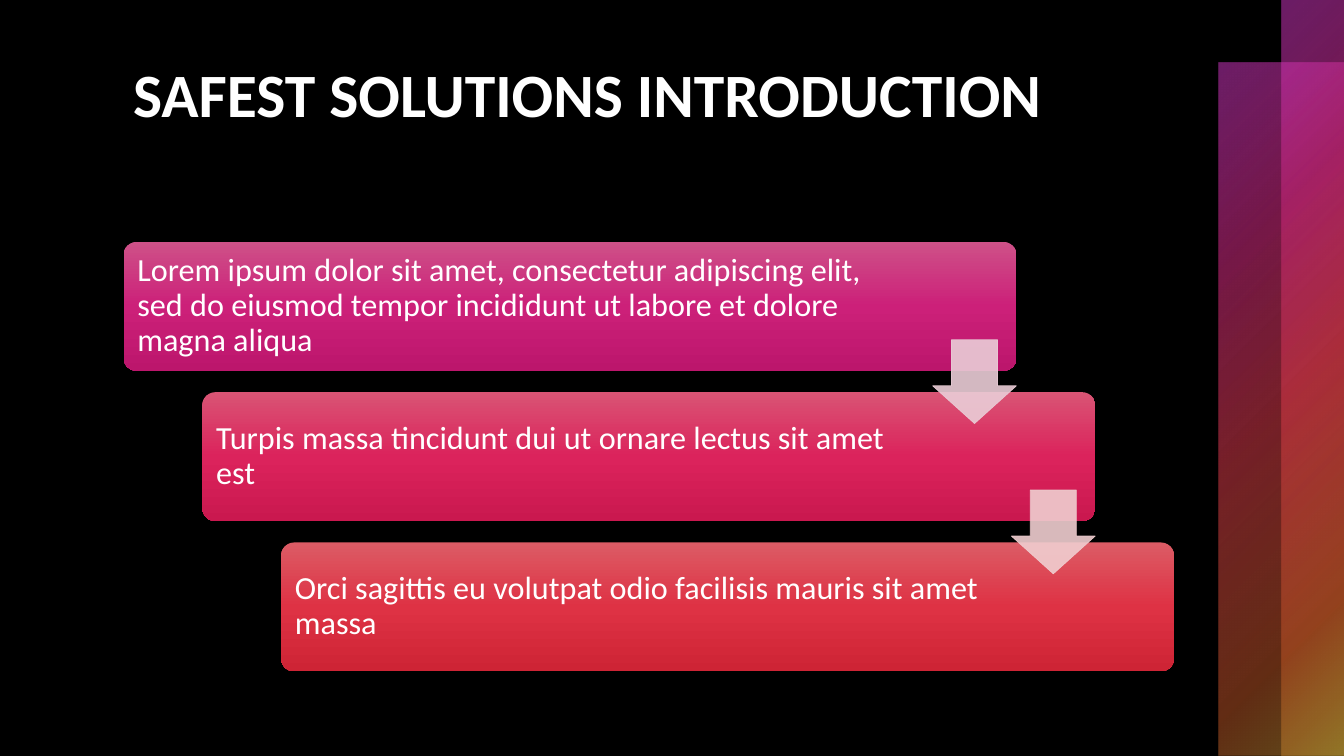
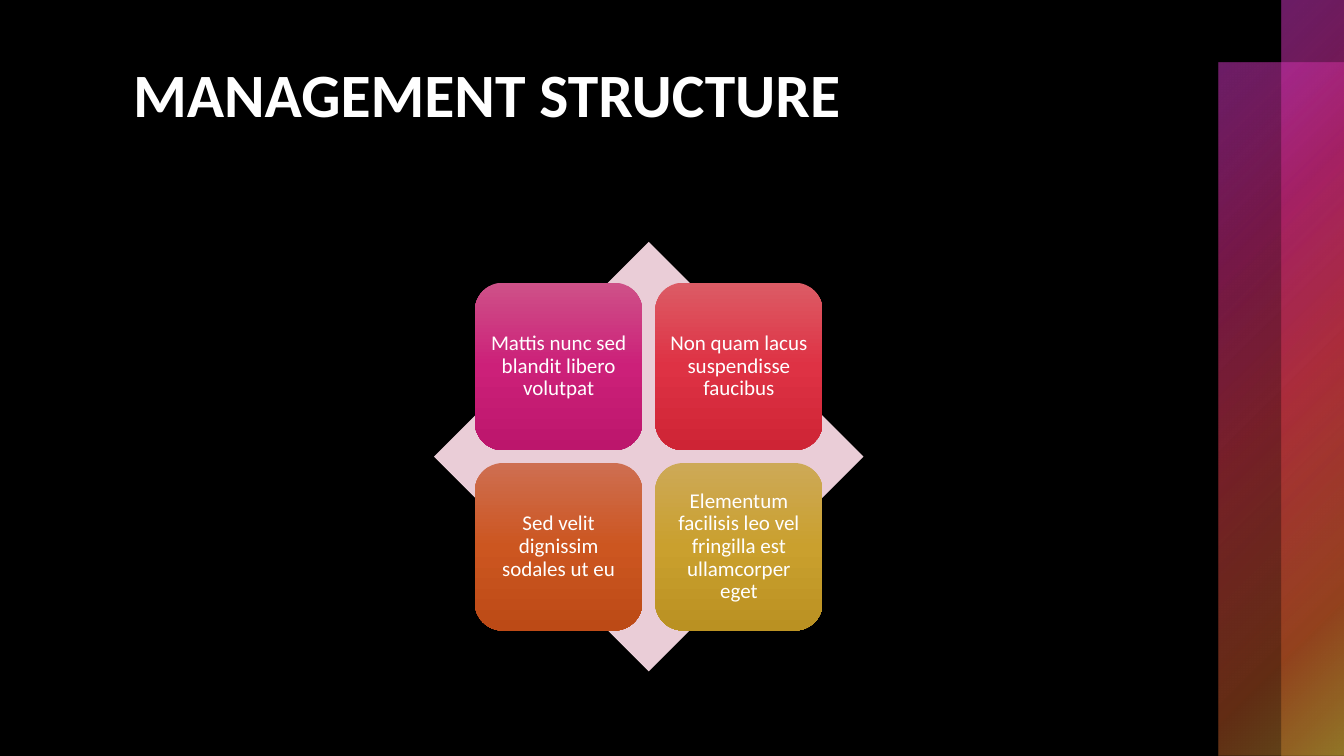
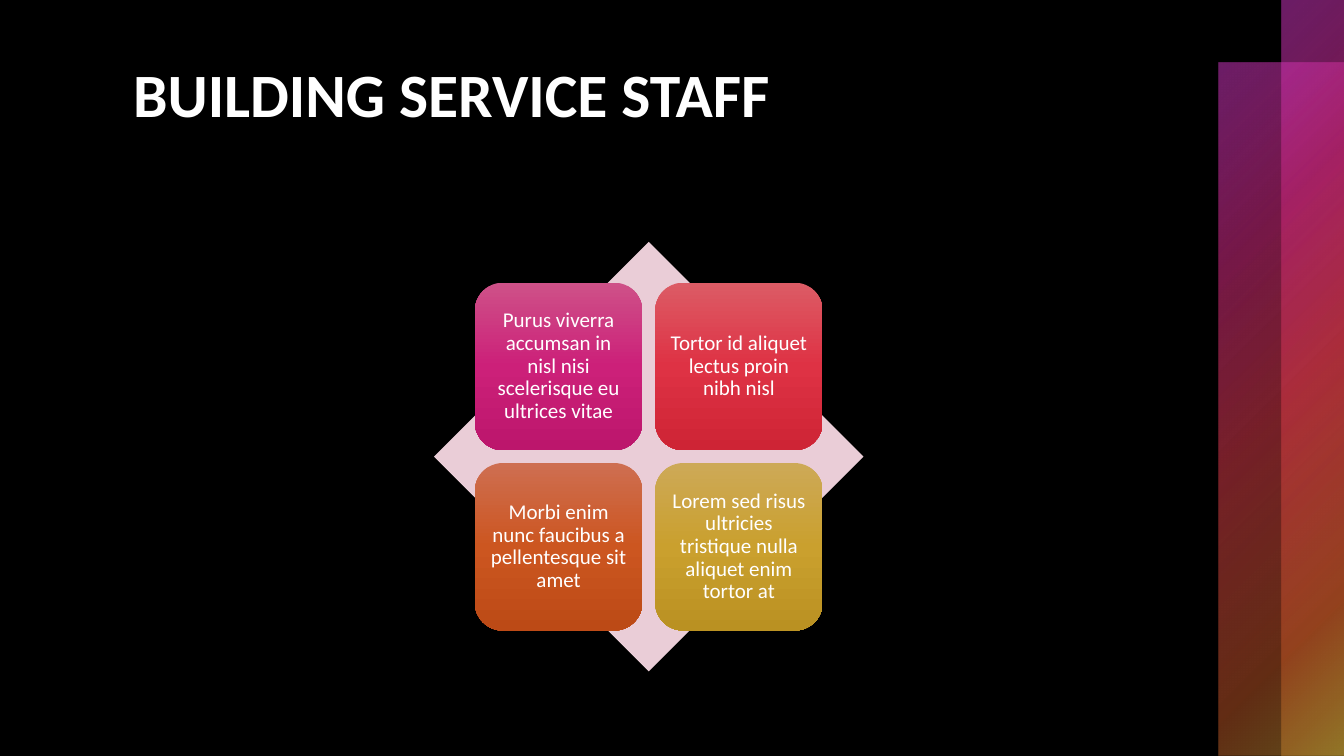
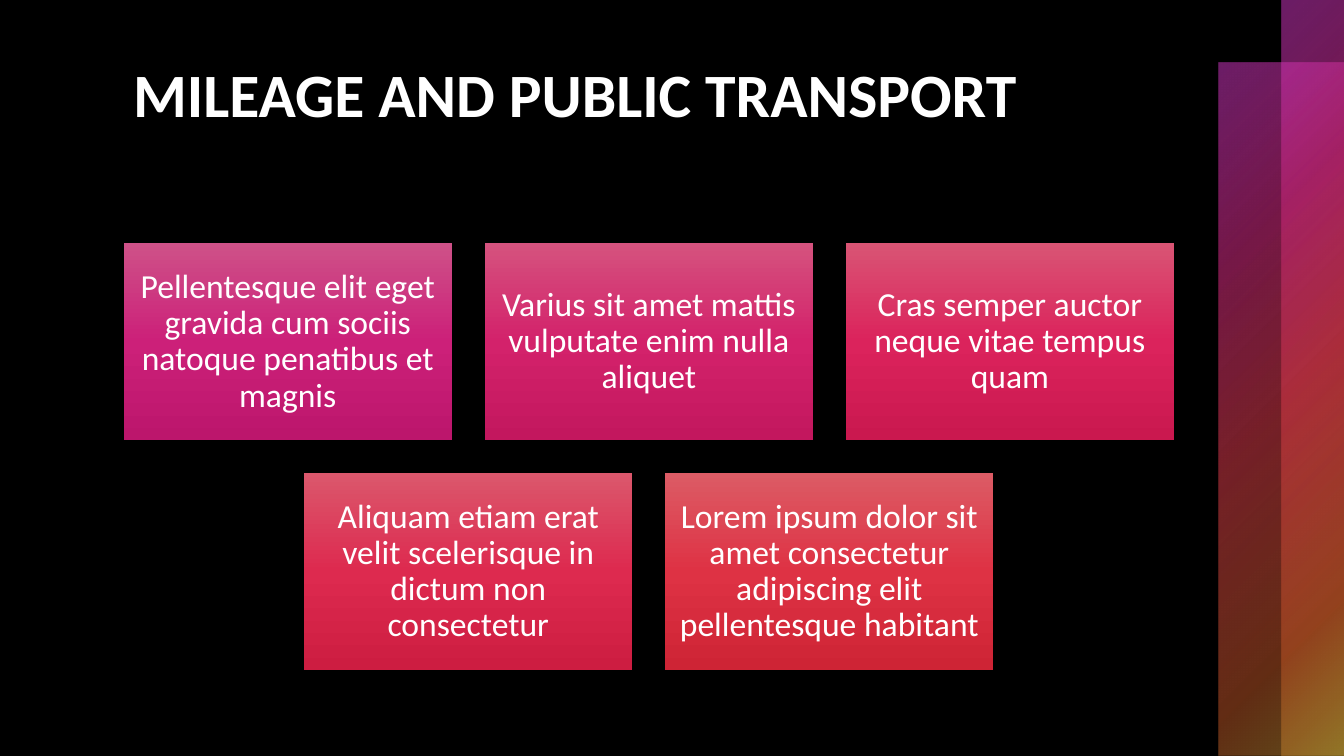
from dataclasses import dataclass

from lxml.etree import SubElement
from pptx import Presentation
from pptx.dml.color import RGBColor
from pptx.enum.shapes import MSO_SHAPE
from pptx.enum.text import MSO_ANCHOR, MSO_AUTO_SIZE, PP_ALIGN
from pptx.oxml.ns import qn
from pptx.util import Inches, Pt


@dataclass(frozen=True)
class Theme:
    font: str = "Calibri"
    background: RGBColor = RGBColor.from_string("000000")
    text: RGBColor = RGBColor.from_string("FFFFFF")
    pale_pink: RGBColor = RGBColor.from_string("EACDD7")
    pale_red: RGBColor = RGBColor.from_string("F0CED0")
    band: tuple = ((0, "D63ACC", 50), (25, "C42879", 60), (50, "D63A4A", 55),
                   (81, "C45928", 50), (99, "C39D35", 50))
    magenta: tuple = ((0, "CE5188", 100), (50, "CC2079", 100), (100, "BC166C", 100))
    rose: tuple = ((0, "D5527E", 100), (50, "D3226B", 100), (100, "C3175E", 100))
    crimson: tuple = ((0, "D95474", 100), (50, "DB235C", 100), (100, "CA184F", 100))
    scarlet: tuple = ((0, "DB576C", 100), (50, "DD2A4F", 100), (100, "CD1D41", 100))
    red: tuple = ((0, "DC5B65", 100), (50, "DE3244", 100), (100, "CE2435", 100))
    orange: tuple = ((0, "CE6E51", 100), (50, "CC5620", 100), (100, "BC4A16", 100))
    gold: tuple = ((0, "CDA957", 100), (50, "CAA02E", 100), (100, "BA9122", 100))
    title_size: Pt = Pt(44)
    step_size: Pt = Pt(23)
    tile_size: Pt = Pt(15)
    block_size: Pt = Pt(24)


def add_gradient_shape(slide, kind, box, stops, circular=False):
    shape = slide.shapes.add_shape(kind, *[int(length) for length in box])
    shape.shadow.inherit = False
    shape.line.fill.background()
    shape.fill.gradient()
    gradient = shape.element.spPr.find(qn("a:gradFill"))
    for child in list(gradient):
        gradient.remove(child)
    stop_list = SubElement(gradient, qn("a:gsLst"))
    for position, color, opacity in stops:
        stop = SubElement(stop_list, qn("a:gs"), pos=str(position * 1000))
        color_element = SubElement(stop, qn("a:srgbClr"), val=color)
        if opacity < 100:
            SubElement(color_element, qn("a:alpha"), val=str(opacity * 1000))
    if circular:
        circle = SubElement(gradient, qn("a:path"), path="circle")
        SubElement(circle, qn("a:fillToRect"), r="100000", b="100000")
    else:
        SubElement(gradient, qn("a:lin"), ang="5400000", scaled="0")
    return shape


def write_card(shape, text, size, inset, right_inset, alignment):
    frame = shape.text_frame
    frame.word_wrap = True
    frame.vertical_anchor = MSO_ANCHOR.MIDDLE
    frame.margin_left = frame.margin_top = frame.margin_bottom = Inches(inset)
    frame.margin_right = Inches(right_inset)
    paragraph = frame.paragraphs[0]
    paragraph.alignment = alignment
    paragraph.line_spacing = 0.9
    run = paragraph.add_run()
    run.text = text
    run.font.name = theme.font
    run.font.size = size
    run.font.color.rgb = theme.text


theme = Theme()
presentation = Presentation()
presentation.slide_width = Inches(40 / 3)
presentation.slide_height = Inches(7.5)
column = presentation.slide_width / 100
row = presentation.slide_height / 100
left, top = 9.2 * column, 32 * row
width, height = 78.15 * column, 56.8 * row

master_fill = presentation.slide_master.background.fill
master_fill.solid()
master_fill.fore_color.rgb = theme.background
layout = presentation.slide_layouts.get_by_name("Title Only")

slides = []
for title_text in ("SAFEST SOLUTIONS INTRODUCTION", "MANAGEMENT STRUCTURE",
                   "BUILDING SERVICE STAFF", "MILEAGE AND PUBLIC TRANSPORT"):
    slide = presentation.slides.add_slide(layout)
    slides.append(slide)
    title = slide.shapes.title
    title.left, title.top = int(9.15 * column), int(6.67 * row)
    title.width, title.height = int(77.8 * column), int(22.67 * row)
    frame = title.text_frame
    frame.word_wrap = True
    frame.auto_size = MSO_AUTO_SIZE.NONE
    frame.vertical_anchor = MSO_ANCHOR.TOP
    paragraph = frame.paragraphs[0]
    paragraph.alignment = PP_ALIGN.LEFT
    run = paragraph.add_run()
    run.text = title_text
    run.font.name = theme.font
    run.font.size = theme.title_size
    run.font.bold = True
    run.font.color.rgb = theme.text

for index, (band_width, band_top) in enumerate(((9.3, 8.27), (4.65, 0))):
    box = ((100 - band_width) * column, band_top * row,
           band_width * column, (100 - band_top) * row)
    band = add_gradient_shape(slides[0], MSO_SHAPE.RECTANGLE, box, theme.band, circular=True)
    band.element.nvSpPr.cNvPr.set("id", str(20 + index))
    layout.shapes.element.insert(2 + index, band.element)

steps = (
    ("Lorem ipsum dolor sit amet, consectetur adipiscing elit, sed do eiusmod "
     "tempor incididunt ut labore et dolore magna aliqua", theme.magenta, 1.4),
    ("Turpis massa tincidunt dui ut ornare lectus sit amet est", theme.crimson, 1.71),
    ("Orci sagittis eu volutpat odio facilisis mauris sit amet massa", theme.red, 1.71),
)
step_width, step_height = 0.85 * width, 0.3 * height
for index, (text, stops, right_inset) in enumerate(steps):
    box = (left + index * 0.075 * width, top + index * 0.35 * height, step_width, step_height)
    step = add_gradient_shape(slides[0], MSO_SHAPE.ROUNDED_RECTANGLE, box, stops)
    step.adjustments[0] = 0.1
    write_card(step, text, theme.step_size, 0.1, right_inset, PP_ALIGN.LEFT)

arrow_size = 0.65 * step_height
for index, color in enumerate((theme.pale_pink, theme.pale_red)):
    arrow = slides[0].shapes.add_shape(
        MSO_SHAPE.DOWN_ARROW,
        int(left + index * 0.075 * width + step_width - arrow_size),
        int(top + index * 0.35 * height + 0.76 * step_height),
        int(arrow_size), int(arrow_size))
    arrow.shadow.inherit = False
    arrow.adjustments[0], arrow.adjustments[1] = 0.55, 0.45
    arrow.fill.solid()
    arrow.fill.fore_color.rgb = color
    arrow.line.color.rgb = color
    arrow.line.width = Pt(0.5)
    for color_element in arrow.element.spPr.iter(qn("a:srgbClr")):
        SubElement(color_element, qn("a:alpha"), val="90000")

matrices = (
    (slides[1], ("Mattis nunc sed blandit libero volutpat",
                 "Non quam lacus suspendisse faucibus",
                 "Sed velit dignissim sodales ut eu",
                 "Elementum facilisis leo vel fringilla est ullamcorper eget")),
    (slides[2], ("Purus viverra accumsan in nisl nisi scelerisque eu ultrices vitae",
                 "Tortor id aliquet lectus proin nibh nisl",
                 "Morbi enim nunc faucibus a pellentesque sit amet",
                 "Lorem sed risus ultricies tristique nulla aliquet enim tortor at")),
)
tile_colors = (theme.magenta, theme.red, theme.orange, theme.gold)
diamond_left = left + (width - height) / 2
tile_side = 0.39 * height
for slide, texts in matrices:
    diamond = slide.shapes.add_shape(
        MSO_SHAPE.DIAMOND, int(diamond_left), int(top), int(height), int(height))
    diamond.shadow.inherit = False
    diamond.fill.solid()
    diamond.fill.fore_color.rgb = theme.pale_pink
    diamond.line.fill.background()
    for index, (text, stops) in enumerate(zip(texts, tile_colors)):
        tile_row, tile_column = divmod(index, 2)
        box = (diamond_left + (0.095 + 0.42 * tile_column) * height,
               top + (0.095 + 0.42 * tile_row) * height, tile_side, tile_side)
        tile = add_gradient_shape(slide, MSO_SHAPE.ROUNDED_RECTANGLE, box, stops)
        write_card(tile, text, theme.tile_size, 0.06, 0.06, PP_ALIGN.CENTER)

blocks = (
    ("Pellentesque elit eget gravida cum sociis natoque penatibus et magnis", theme.magenta),
    ("Varius sit amet mattis vulputate enim nulla aliquet", theme.rose),
    ("Cras semper auctor neque vitae tempus quam", theme.crimson),
    ("Aliquam etiam erat velit scelerisque in dictum non consectetur", theme.scarlet),
    ("Lorem ipsum dolor sit amet consectetur adipiscing elit pellentesque habitant", theme.red),
)
block_width = width / 3.2
block_height = 0.6 * block_width
gap = 0.1 * block_width
block_top = top + (height - 2 * block_height - gap) / 2
for index, (text, stops) in enumerate(blocks):
    block_row, block_column = divmod(index, 3)
    box = (left + (block_column + block_row / 2) * (block_width + gap),
           block_top + block_row * (block_height + gap), block_width, block_height)
    block = add_gradient_shape(slides[3], MSO_SHAPE.RECTANGLE, box, stops)
    write_card(block, text, theme.block_size, 0.1, 0.1, PP_ALIGN.CENTER)

presentation.save("out.pptx")
